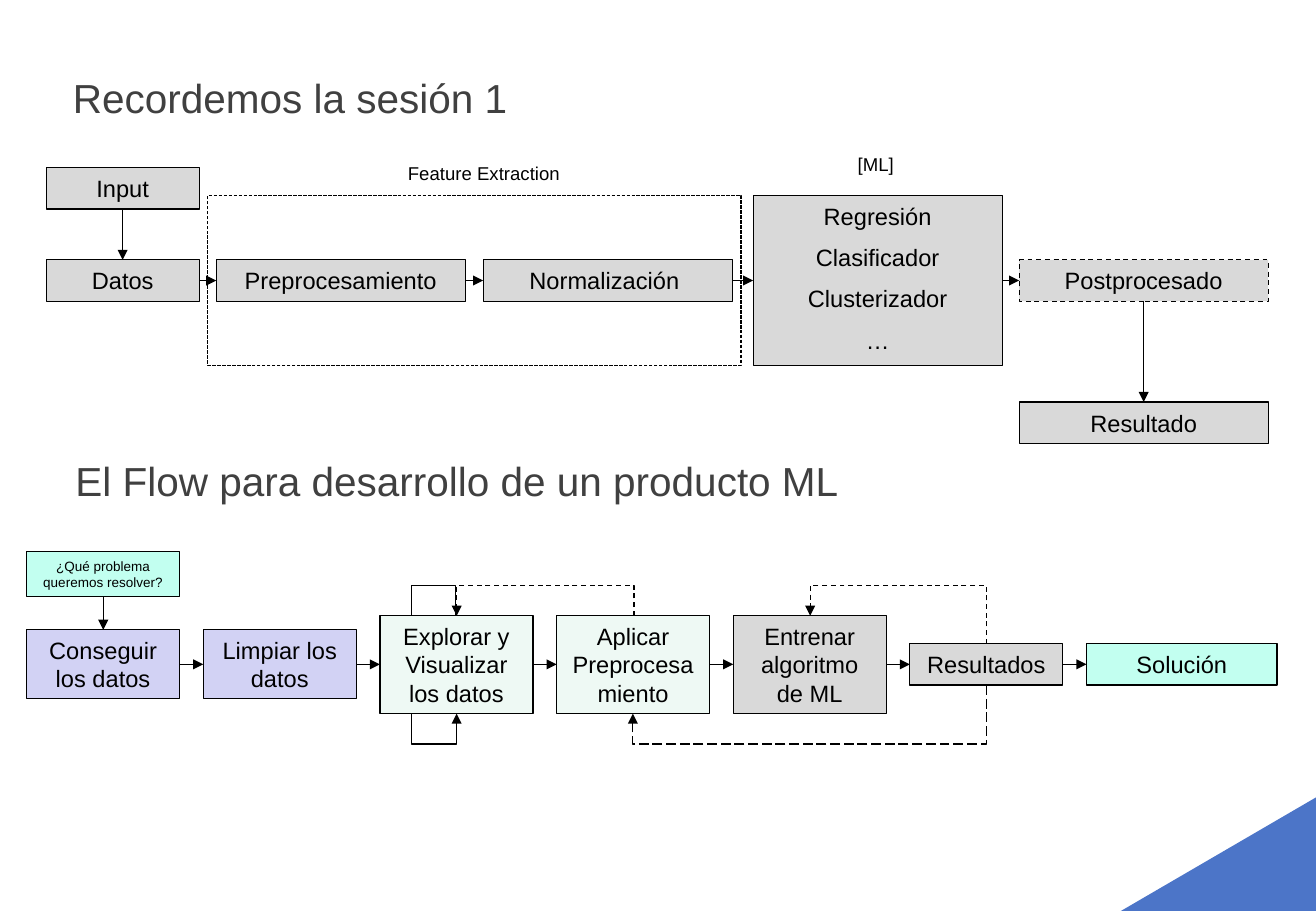
from itertools import pairwise

from lxml import etree
from pptx import Presentation
from pptx import util as u
from pptx.dml.color import RGBColor
from pptx.enum import dml, shapes, text
from pptx.oxml.ns import qn

Pt = u.Pt
DASH = dml.MSO_LINE
TOP, MIDDLE = text.MSO_ANCHOR.TOP, text.MSO_ANCHOR.MIDDLE
COLORS = {"ink": "000000", "heading": "404040", "gray": "D9D9D9", "lilac": "D2D2F4",
          "mint": "EEF9F4", "aqua": "C2FFF0", "blue": "4C75C8"}
C = {name: RGBColor.from_string(value) for name, value in COLORS.items()}

prs = Presentation()
prs.slide_width, prs.slide_height = Pt(780), Pt(540)
s = prs.slides.add_slide(prs.slide_layouts[5])


def box(x, y, w, h, words="", fill=None, size=14, dash=None, anchor=MIDDLE):
    """Outlined rectangle with centred text, one paragraph per line of words."""
    sp = s.shapes.add_shape(shapes.MSO_SHAPE.RECTANGLE, *map(Pt, (x, y, w, h)))
    sp.shadow.inherit = False
    if fill:
        sp.fill.solid()
        sp.fill.fore_color.rgb = C[fill]
    else:
        sp.fill.background()
    sp.line.color.rgb = C["ink"]
    sp.line.width = Pt(0.75)
    if dash:
        sp.line.dash_style = dash
    tf = sp.text_frame
    tf.word_wrap, tf.vertical_anchor = True, anchor
    tf.text = words
    for i, p in enumerate(tf.paragraphs):
        p.alignment = text.PP_ALIGN.CENTER
        p.space_before = Pt(7.7 if i else 0)
        for key, value in {"size": Pt(size), "name": "Arial"}.items():
            setattr(p.font, key, value)
        p.font.color.rgb = C["ink"]


def arrow(*points, dash=None):
    """Straight connector for two points, right-angled route for more."""
    pts = [(Pt(x), Pt(y)) for x, y in points]
    if len(pts) == 2:
        sp = s.shapes.add_connector(shapes.MSO_CONNECTOR.STRAIGHT, *pts[0], *pts[1])
    else:
        route = s.shapes.build_freeform(*pts[0])
        route.add_line_segments(pts[1:], close=False)
        sp = route.convert_to_shape()
        sp.fill.background()
        sp.shadow.inherit = False
    sp.line.color.rgb = C["ink"]
    sp.line.width = Pt(0.75)
    if dash:
        sp.line.dash_style = dash
    etree.SubElement(sp.line._get_or_add_ln(), qn("a:tailEnd"), type="triangle")
    if len(pts) == 2:
        etree.SubElement(sp._element.spPr, qn("a:effectLst"))


# Corner decoration
sp = s.shapes.add_shape(shapes.MSO_SHAPE.ISOSCELES_TRIANGLE,
                        Pt(664.4), Pt(472.7), Pt(115.6), Pt(67.3))
sp.adjustments[0] = 1
sp.shadow.inherit = False
sp.fill.solid()
sp.fill.fore_color.rgb = C["blue"]
sp.line.fill.background()

# Headings
subtitle = s.shapes.add_textbox(0, 0, 0, 0)
for sp, words, x, y in [(s.shapes.title, "Recordemos la sesión 1", 25.9, 43.2),
                        (subtitle, "El Flow para desarrollo de un producto ML", 27.4, 270)]:
    sp.left, sp.top, sp.width, sp.height = map(Pt, (x, y, 713.5, 34.6))
    tf = sp.text_frame
    tf.text = words
    for key, value in {"margin_left": Pt(17.3), "margin_top": 0, "margin_right": 0,
                       "margin_bottom": 0, "word_wrap": True, "vertical_anchor": TOP,
                       "auto_size": text.MSO_AUTO_SIZE.NONE}.items():
        setattr(tf, key, value)
    p = tf.paragraphs[0]
    p.alignment = text.PP_ALIGN.LEFT
    for key, value in {"size": Pt(24), "name": "Arial", "bold": False}.items():
        setattr(p.font, key, value)
    p.font.color.rgb = C["heading"]

# Session 1 pipeline
NARROW, WIDE, LOW = 90.7, 147.6, 24.5
ROW1 = 166.3
MODELS = "Regresión\nClasificador\nClusterizador\n…"
pipeline = [("Datos", 27.4, NARROW, LOW, None),
            ("Preprocesamiento", 128.2, WIDE, LOW, None),
            ("Normalización ", 286.4, WIDE, LOW, None),
            (MODELS, 446.4, WIDE, 100.8, None),
            ("Postprocesado", 604.1, WIDE, LOW, DASH.DASH)]
for words, x, w, h, dash in pipeline:
    top = 115.9 if words == MODELS else ROW1 - h / 2
    box(x, top, w, h, words, "gray", dash=dash, anchor=TOP if words == MODELS else MIDDLE)
for (_, x, w, _, _), (_, x_next, _, _, _) in pairwise(pipeline):
    arrow((x + w, ROW1), (x_next, ROW1))
box(27.4, 99.4, NARROW, LOW, "Input", "gray")
arrow((72.7, 123.9), (72.7, ROW1 - LOW / 2))
box(604.1, 238.3, WIDE, LOW, "Resultado", "gray")
arrow((677.9, ROW1 + LOW / 2), (677.9, 238.3))

# Feature extraction frame and stage labels
box(123.1, 115.9, 316.1, 100.8, dash=DASH.SQUARE_DOT)
for words, x, y, w in [("Feature Extraction", 234.4, 92.2, 105), ("[ML]", 501.1, 87.1, 36)]:
    tf = s.shapes.add_textbox(Pt(x), Pt(y), Pt(w), Pt(20.9)).text_frame
    tf.word_wrap = False
    p = tf.paragraphs[0]
    p.alignment = text.PP_ALIGN.CENTER
    r = p.add_run()
    r.text = words
    for key, value in {"size": Pt(11), "name": "Arial"}.items():
        setattr(r.font, key, value)
    r.font.color.rgb = C["ink"]

# Feedback loops of the product flow
ROW2, STEP, FLOW_LEFT = 393.8, 104.7, 15.8
UP, DOWN = 347, 441
TALL_TOP, TALL_BOTTOM = 365, 423
arrow((270, TALL_TOP), (270, UP), (244.1, UP), (244.1, DOWN), (270.7, DOWN),
      (270.7, TALL_BOTTOM))
arrow((375.8, TALL_TOP), (375.8, UP), (270.7, UP), (270.7, TALL_TOP), dash=DASH.DASH)
arrow((584.6, 381.6), (584.6, UP), (480.2, UP), (480.2, TALL_TOP), dash=DASH.DASH)
arrow((584.6, 406.1), (584.6, DOWN), (375.1, DOWN), (375.1, TALL_BOTTOM), dash=DASH.LONG_DASH)

# Product flow
flow = [("Conseguir los datos", 41, "lilac", NARROW),
        ("Limpiar los datos", 41, "lilac", NARROW),
        ("Explorar y Visualizar los datos", 58.3, "mint", NARROW),
        ("Aplicar Preprocesamiento", 58.3, "mint", NARROW),
        ("Entrenar algoritmo de ML", 58.3, "gray", NARROW),
        ("Resultados", LOW, "gray", NARROW),
        ("Solución", LOW, "aqua", 113)]
for i, (words, h, fill, w) in enumerate(flow):
    x = FLOW_LEFT + i * STEP
    box(x, ROW2 - h / 2, w, h, words, fill)
    if i:
        arrow((x - STEP + NARROW, ROW2), (x, ROW2))
box(FLOW_LEFT, 326.9, NARROW, 26.6, "¿Qué problema queremos resolver?", "aqua", size=8)
arrow((61.2, 353.5), (61.2, ROW2 - 20.5))

prs.save("out.pptx")
